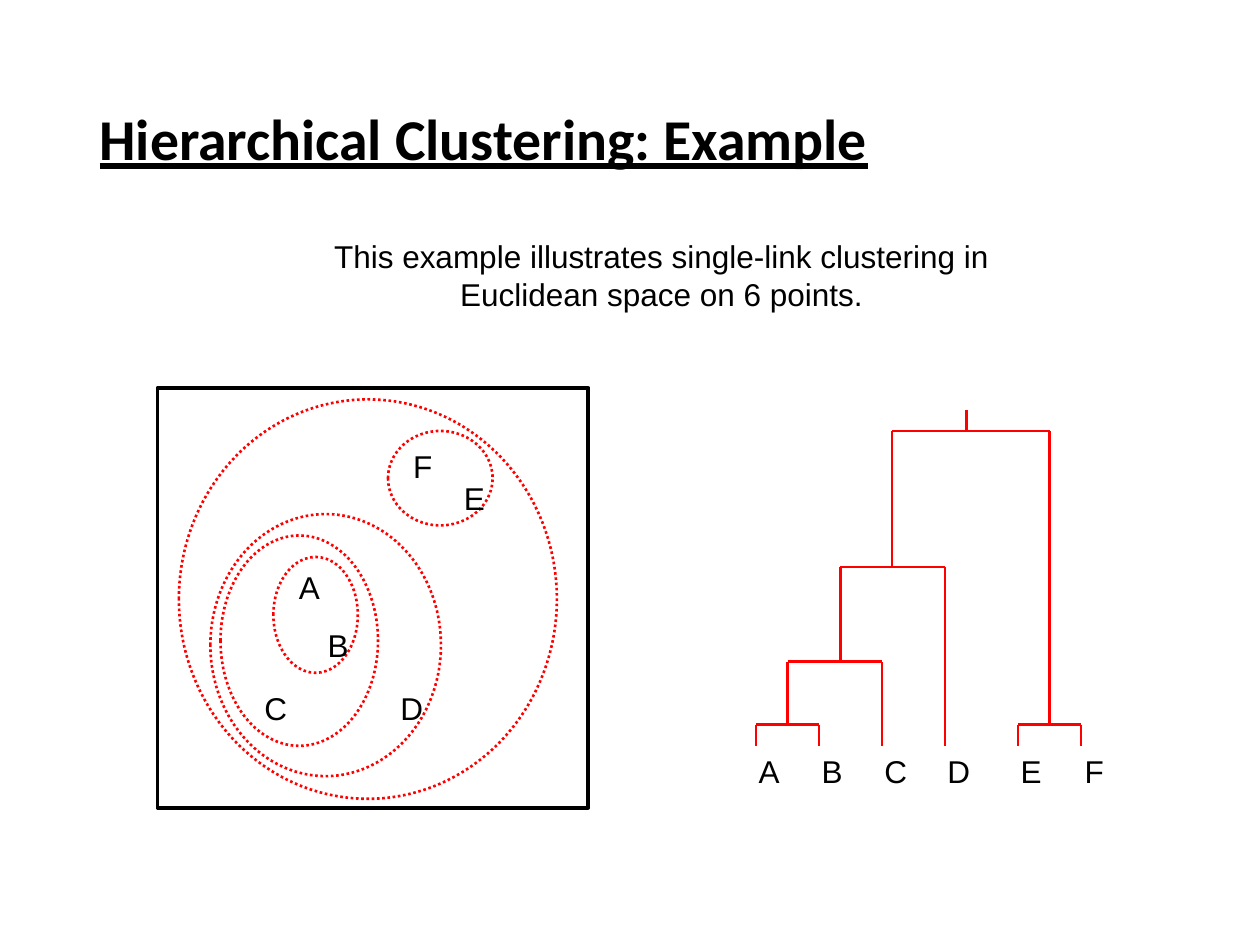
from lxml import etree
from pptx import Presentation
from pptx.dml.color import RGBColor
from pptx.enum.dml import MSO_LINE
from pptx.enum.shapes import MSO_CONNECTOR, MSO_SHAPE
from pptx.enum.text import MSO_ANCHOR, MSO_AUTO_SIZE, PP_ALIGN
from pptx.oxml.ns import qn
from pptx.util import Inches, Pt

STRAIGHT = MSO_CONNECTOR.STRAIGHT
RECTANGLE, OVAL = MSO_SHAPE.RECTANGLE, MSO_SHAPE.OVAL
DOTTED = MSO_LINE.ROUND_DOT
MIDDLE = MSO_ANCHOR.MIDDLE
LEFT, CENTER = PP_ALIGN.LEFT, PP_ALIGN.CENTER
NO_AUTOFIT = MSO_AUTO_SIZE.NONE
BLACK, RED = "000000", "FF0000"


def color(hex_value):
    return RGBColor.from_string(hex_value)


def write(frame, text, font="Arial", size=18, align=CENTER, bold=False,
          underline=False, spacing=1.0):
    frame.word_wrap = True
    frame.auto_size = NO_AUTOFIT
    frame.vertical_anchor = MIDDLE
    paragraph = frame.paragraphs[0]
    paragraph.alignment = align
    paragraph.line_spacing = spacing
    run = paragraph.add_run()
    run.text = text
    run.font.name, run.font.size = font, Pt(size)
    run.font.bold, run.font.underline = bold, underline
    run.font.color.rgb = color(BLACK)


prs = Presentation()
prs.slide_width, prs.slide_height = Inches(10), Inches(7.5)
slide = prs.slides.add_slide(prs.slide_layouts[5])
shapes = slide.shapes

# Title
title = shapes.title
title.left, title.top = Inches(0.69), Inches(0.4)
title.width, title.height = Inches(8.63), Inches(1.45)
write(title.text_frame, "Hierarchical Clustering: Example", font="Calibri",
      size=33, align=LEFT, bold=True, underline=True, spacing=0.9)

# Frame of the plane, then the nested clusters
outlines = [
    (RECTANGLE, 1.25, 3.08, 3.42, 3.33),
    (OVAL, 2.17, 4.42, 0.67, 0.92),
    (OVAL, 3.08, 3.42, 0.83, 0.75),
    (OVAL, 1.75, 4.25, 1.25, 1.67),
    (OVAL, 1.67, 4.08, 1.83, 2.08),
    (OVAL, 1.42, 3.17, 3, 3.17),
]
for kind, *box in outlines:
    outline = shapes.add_shape(kind, *map(Inches, box))
    outline.shadow.inherit = False
    outline.fill.background()
    if kind == OVAL:
        outline.line.color.rgb = color(RED)
        outline.line.width = Pt(1.5)
        outline.line.dash_style = DOTTED
    else:
        outline.line.color.rgb = color(BLACK)
        outline.line.width = Pt(2.25)

# Point labels in the plane and leaf labels under the tree
LEAF_Y = 5.92
points = [("A", 2.27, 4.46), ("B", 2.5, 4.92), ("E", 3.58, 3.75),
          ("F", 3.17, 3.5), ("C", 2, 5.42), ("D", 3.08, 5.42)]
leaves = [("A", 5.92), ("B", 6.42), ("C", 6.92), ("D", 7.42), ("E", 8), ("F", 8.5)]
for letter, x, y in points + [(letter, x, LEAF_Y) for letter, x in leaves]:
    label = shapes.add_textbox(Inches(x), Inches(y), Inches(0.37), Inches(0.4))
    write(label.text_frame, letter)

# Dendrogram: each merge is (left x, left base, right x, right base, merge height)
merges = [
    (6, LEAF_Y, 6.5, LEAF_Y, 5.75),
    (8.08, LEAF_Y, 8.58, LEAF_Y, 5.75),
    (6.25, 5.75, 7, LEAF_Y, 5.25),
    (6.67, 5.25, 7.5, LEAF_Y, 4.5),
    (7.08, 4.5, 8.33, 5.75, 3.42),
]
branches = [(7.67, 3.42, 7.67, 3.25)]
for left, left_base, right, right_base, top in merges:
    branches += [(left, left_base, left, top), (right, right_base, right, top),
                 (left, top, right, top)]
for ends in branches:
    branch = shapes.add_connector(STRAIGHT, *map(Inches, ends))
    branch.line.color.rgb = color(RED)
    branch.line.width = Pt(1.5)
    etree.SubElement(branch._element.spPr, qn("a:effectLst"))

# Description
description = shapes.add_textbox(Inches(2.25), Inches(1.83), Inches(6), Inches(0.7))
write(description.text_frame,
      "This example illustrates single-link clustering in Euclidean space on 6 points.")

prs.save("out.pptx")
